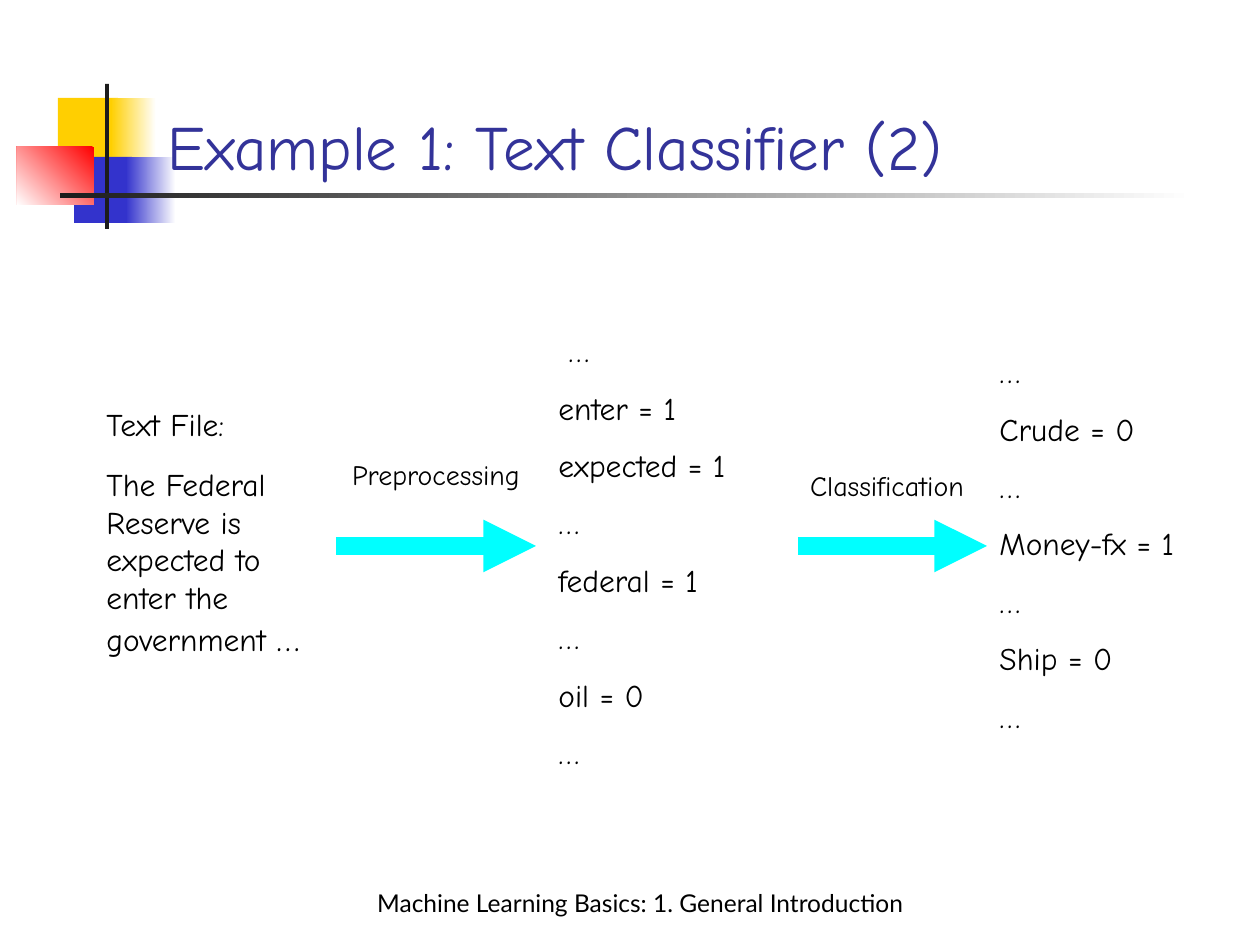
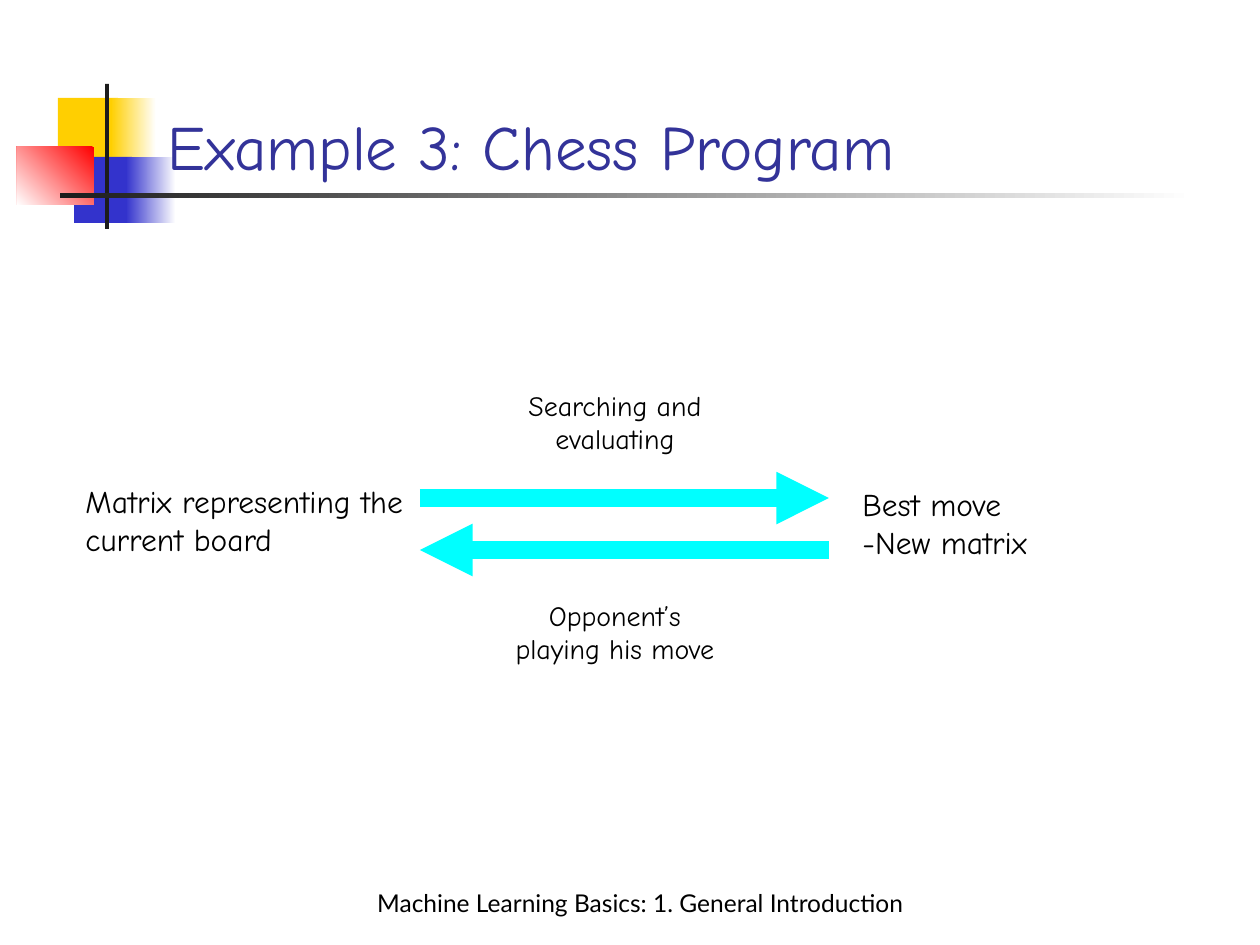
from dataclasses import dataclass

from lxml.etree import SubElement
from pptx import Presentation
from pptx.dml.color import RGBColor as RGB
from pptx.enum.shapes import MSO_CONNECTOR as CONN, MSO_SHAPE as SHAPE
from pptx.enum.text import MSO_ANCHOR as ANCHOR, MSO_AUTO_SIZE as FIT, PP_ALIGN as ALIGN
from pptx.oxml.ns import qn
from pptx.util import Pt


@dataclass(frozen=True)
class Theme:
    title: str = "333399"
    text: str = "000000"
    arrow: str = "00FFFF"
    yellow: str = "FFCF01"
    blue: str = "3333CC"
    red: str = "FF0000"
    dark: str = "1C1C1C"
    white: str = "FFFFFF"
    font: str = "Comic Neue"
    footer_font: str = "Lato"
    title_size: int = 36
    large_size: int = 20
    body_size: int = 18
    label_size: int = 16
    footer_size: int = 14
    body_gap: float = 11.2
    arrow_width: int = 10


T = Theme()
FOOTER = "Machine Learning Basics: 1. General Introduction"


def px(n):
    """Pixels at 126 to the inch, as EMU."""
    return round(n * 914400 / 126)


def box_emu(box):
    return [px(n) for n in box]


# Text
def add_run(p, text, size, color=T.text, font=T.font):
    r = p.add_run()
    r.text = text
    r.font.size = Pt(size)
    r.font.name = font
    r.font.color.rgb = RGB.from_string(color)


def add_text(s, box, paras, size=T.body_size, align=ALIGN.LEFT,
             gap=T.body_gap, font=T.font):
    """Each paragraph is a string, or a list of (text, size) runs."""
    sp = s.shapes.add_textbox(*box_emu(box))
    tf = sp.text_frame
    tf.word_wrap = True
    tf.auto_size = FIT.SHAPE_TO_FIT_TEXT
    for i, para in enumerate(paras):
        p = tf.add_paragraph() if i else tf.paragraphs[0]
        p.alignment = align
        if i:
            p.space_before = Pt(gap)
        runs = [(para, size)] if isinstance(para, str) else para
        for text, run_size in runs:
            add_run(p, text, run_size, font=font)
    return sp


def add_label(s, x, y, height, text):
    add_text(s, (x, y, 242, height), [text], T.label_size, ALIGN.CENTER)


def indent_first(sp, width):
    sp.element.txBody.p_lst[0].get_or_add_pPr().set("indent", str(px(width)))


# Arrows
def add_arrow(s, x1, x2, y):
    c = s.shapes.add_connector(CONN.STRAIGHT, *box_emu((x1, y, x2, y)))
    c.line.color.rgb = RGB.from_string(T.arrow)
    c.line.width = Pt(T.arrow_width)
    SubElement(c.get_or_add_ln(), qn("a:tailEnd"), type="triangle")
    SubElement(c.element.spPr, qn("a:effectLst"))


# Shared corner ornament, placed once on the layout
def add_block(s, layout, box, colors, angle=180):
    sp = s.shapes.add_shape(SHAPE.RECTANGLE, *box_emu(box))
    sp.shadow.inherit = False
    sp.line.fill.background()
    if len(colors) == 1:
        sp.fill.solid()
        sp.fill.fore_color.rgb = RGB.from_string(colors[0])
    else:
        sp.fill.gradient()
        sp.fill.gradient_angle = angle
        for stop, color in zip(sp.fill.gradient_stops, colors):
            stop.color.rgb = RGB.from_string(color)
    layout.shapes.element.append(sp.element)


def add_ornament(s, layout):
    blocks = [
        ((58, 98, 60, 66), [T.yellow]),
        ((111, 98, 45, 66), [T.white, T.yellow]),
        ((74, 157, 58, 66), [T.blue]),
        ((126, 157, 50, 66), [T.white, T.blue]),
        ((17, 147, 77, 58), [T.red, T.white], 225),
        ((105, 84, 4, 145), [T.dark]),
        ((60, 193, 1134, 5), [T.white, T.dark]),
    ]
    for block in blocks:
        add_block(s, layout, *block)


def add_slide(prs, layout, title):
    s = prs.slides.add_slide(layout)
    sp = s.shapes.title
    sp.left, sp.top, sp.width, sp.height = box_emu((155, 63, 1074, 126))
    tf = sp.text_frame
    tf.auto_size = FIT.NONE
    tf.vertical_anchor = ANCHOR.BOTTOM
    p = tf.paragraphs[0]
    p.alignment = ALIGN.LEFT
    add_run(p, title, T.title_size, T.title)
    return s


def add_footer(s):
    sp = add_text(s, (105, 861, 1071, 63), [FOOTER], T.footer_size,
                  ALIGN.CENTER, font=T.footer_font)
    sp.text_frame.auto_size = FIT.NONE
    sp.text_frame.vertical_anchor = ANCHOR.BOTTOM


# Slides
def fill_text_classifier(s):
    features = add_text(s, (546, 325, 242, 454), [
        "…", "enter = 1", "expected = 1", "…", "federal = 1", "…", "oil = 0", "…"])
    indent_first(features, 10)
    add_arrow(s, 798, 987, 546)
    add_label(s, 766, 462, 47, "Classification")
    add_text(s, (987, 346, 231, 396), [
        "…", "Crude = 0", "…", "Money-fx = 1", "…", "Ship = 0", "…"])
    add_text(s, (94, 399, 231, 307), [
        "Text File:",
        [("The Federal Reserve is expected to enter the government ", T.body_size),
         ("…", T.large_size)]], gap=12.5)
    add_arrow(s, 336, 536, 546)
    add_label(s, 315, 451, 47, "Preprocessing")
    add_footer(s)


def fill_chess_program(s):
    add_text(s, (850, 479, 230, 88), ["Best move -New matrix"])
    add_arrow(s, 829, 420, 550)
    add_label(s, 494, 592, 81, "Opponent’s playing his move")
    add_text(s, (73, 476, 357, 88), ["Matrix representing the current board"])
    add_arrow(s, 420, 829, 498)
    add_label(s, 494, 382, 81, "Searching and evaluating")
    add_footer(s)


def main():
    prs = Presentation()
    prs.slide_width, prs.slide_height = px(1260), px(945)
    layout = prs.slide_layouts.get_by_name("Title Only")
    classifier = add_slide(prs, layout, "Example 1: Text Classifier (2)")
    add_ornament(classifier, layout)
    fill_text_classifier(classifier)
    fill_chess_program(add_slide(prs, layout, "Example 3: Chess Program"))
    prs.save("out.pptx")


if __name__ == "__main__":
    main()
